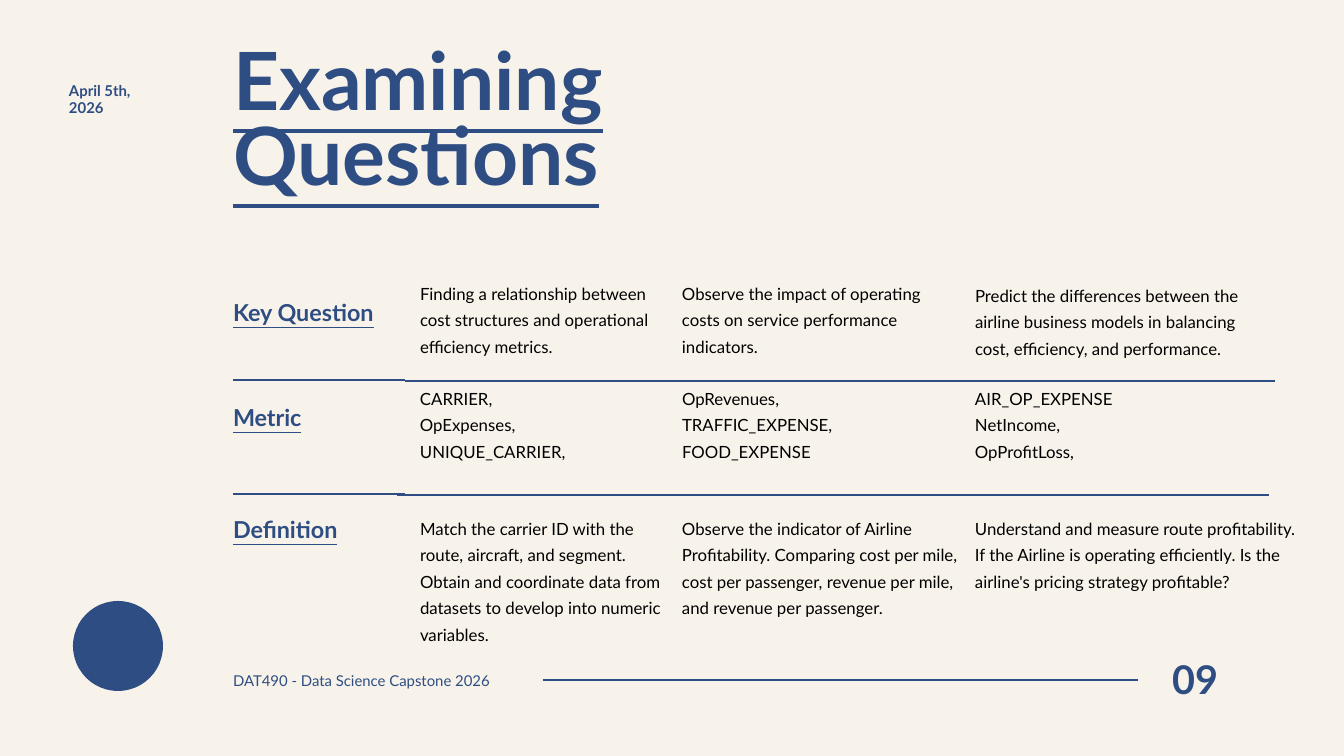
import pptx
import pptx.util
import pptx.dml.color
import pptx.enum.shapes
import pptx.enum.text
import pptx.oxml

COLORS = {"paper": "F8F3EA", "navy": "2E4D83", "ink": "000000"}
FONT = "Lato"
SCALE = 914400 / 67.2
SLIDE_SIZE = (1344, 756)
LABEL_LEFT, LABEL_WIDTH = 233, 171
COLUMN_LEFTS = (420, 682, 975)

TITLE = "Examining Questions"
ROWS = [
    {"label": "Key Question", "label_top": 300, "tops": (277, 277, 279),
     "widths": (252, 268, 293), "height": 104,
     "cells": [
         ["Finding a relationship between cost structures and operational efficiency metrics."],
         ["Observe the impact of operating costs on service performance indicators."],
         ["Predict the differences between the airline business models in balancing "
          "cost, efficiency, and performance."]]},
    {"label": "Metric", "label_top": 405, "tops": (382, 382, 382),
     "widths": (200, 232, 200), "height": 104,
     "cells": [
         ["CARRIER,", "OpExpenses,", "UNIQUE_CARRIER,"],
         ["OpRevenues,", "TRAFFIC_EXPENSE,", "FOOD_EXPENSE"],
         ["AIR_OP_EXPENSE", "NetIncome,", "OpProfitLoss,"]]},
    {"label": "Definition", "label_top": 517, "tops": (512, 512, 512),
     "widths": (242, 276, 325), "height": 156,
     "cells": [
         ["Match the carrier ID with the route, aircraft, and segment. Obtain and "
          "coordinate data from datasets to develop into numeric variables."],
         ["Observe the indicator of Airline Profitability. Comparing cost per mile, "
          "cost per passenger, revenue per mile, and revenue per passenger."],
         ["Understand and measure route profitability. If the Airline is operating "
          "efficiently. Is the airline's pricing strategy profitable?"]]},
]
RULES = [
    (543, 1138, 680, 1.5),
    (233, 405, 380, 3),
    (405, 1275, 381, 1.5),
    (233, 405, 494, 3),
    (397, 1269, 495, 1.5),
]

STYLES = {
    "title": {"size": 86, "spacing": 80, "color": "navy", "bold": True, "underline": True},
    "label": {"size": 25, "spacing": 28.5, "color": "navy", "bold": True, "underline": True},
    "cell": {"size": 18, "spacing": 28.4, "color": "ink"},
    "date": {"size": 16, "spacing": 18.7, "color": "navy", "bold": True},
    "course": {"size": 16, "spacing": 15.7, "color": "navy"},
    "page": {"size": 42.4, "spacing": 59.4, "color": "navy", "bold": True, "align": "RIGHT"},
}


def px(length):
    return pptx.util.Emu(round(length * SCALE))


def rgb(name):
    return pptx.dml.color.RGBColor.from_string(COLORS[name])


def write(shape, lines, style_name):
    style = STYLES[style_name]
    frame = shape.text_frame
    frame.margin_left = frame.margin_top = frame.margin_right = frame.margin_bottom = 0
    frame.word_wrap = True
    frame.auto_size = pptx.enum.text.MSO_AUTO_SIZE.NONE
    frame.vertical_anchor = pptx.enum.text.MSO_ANCHOR.TOP
    frame.text = "\n".join(lines)
    for paragraph in frame.paragraphs:
        paragraph.alignment = pptx.enum.text.PP_ALIGN[style.get("align", "LEFT")]
        paragraph.line_spacing = pptx.util.Pt(style["spacing"])
        paragraph.space_before = pptx.util.Pt(0)
        font = paragraph.font
        font.name = FONT
        font.size = pptx.util.Pt(style["size"])
        font.bold = style.get("bold", False)
        font.underline = style.get("underline", False)
        font.color.rgb = rgb(style["color"])


def add_text(slide, box, lines, style_name):
    write(slide.shapes.add_textbox(*map(px, box)), lines, style_name)


def add_rule(slide, left, right, y, weight):
    rule = slide.shapes.add_connector(
        pptx.enum.shapes.MSO_CONNECTOR.STRAIGHT, px(left), px(y), px(right), px(y))
    rule.line.color.rgb = rgb("navy")
    rule.line.width = pptx.util.Pt(weight)
    properties = rule._element.spPr
    properties.append(properties.makeelement(pptx.oxml.ns.qn("a:effectLst"), {}))


def main():
    deck = pptx.Presentation()
    deck.slide_width, deck.slide_height = map(px, SLIDE_SIZE)
    slide = deck.slides.add_slide(deck.slide_layouts.get_by_name("Title Only"))
    slide.background.fill.solid()
    slide.background.fill.fore_color.rgb = rgb("paper")

    title = slide.shapes.title
    title.left, title.top, title.width, title.height = map(px, (LABEL_LEFT, 52, 499, 234))
    write(title, [TITLE], "title")

    for row in ROWS:
        add_text(slide, (LABEL_LEFT, row["label_top"], LABEL_WIDTH, 30), [row["label"]], "label")
        for left, top, width, lines in zip(COLUMN_LEFTS, row["tops"], row["widths"], row["cells"]):
            add_text(slide, (left, top, width, row["height"]), lines, "cell")

    for rule in RULES:
        add_rule(slide, *rule)

    add_text(slide, (69, 82, 115, 52), ["April 5th,", "2026"], "date")
    add_text(slide, (LABEL_LEFT, 675, 343, 16), ["DAT490 - Data Science Capstone 2026"], "course")
    add_text(slide, (1136, 647, 82, 57), ["09"], "page")

    dot = slide.shapes.add_shape(
        pptx.enum.shapes.MSO_SHAPE.OVAL, *map(px, (73, 601, 90, 90)))
    dot.shadow.inherit = False
    dot.fill.solid()
    dot.fill.fore_color.rgb = rgb("navy")
    dot.line.fill.background()

    deck.save("out.pptx")


if __name__ == "__main__":
    main()
